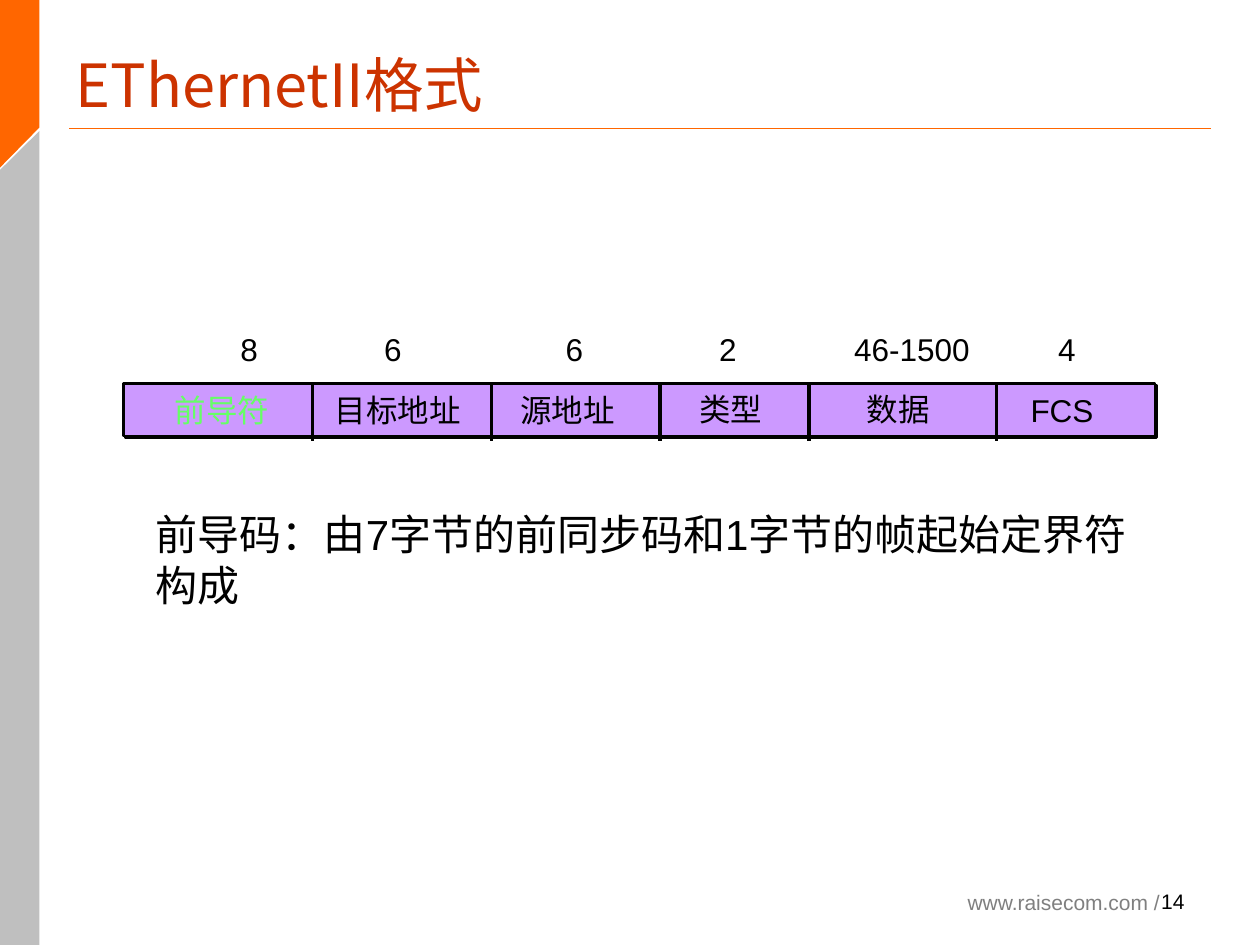
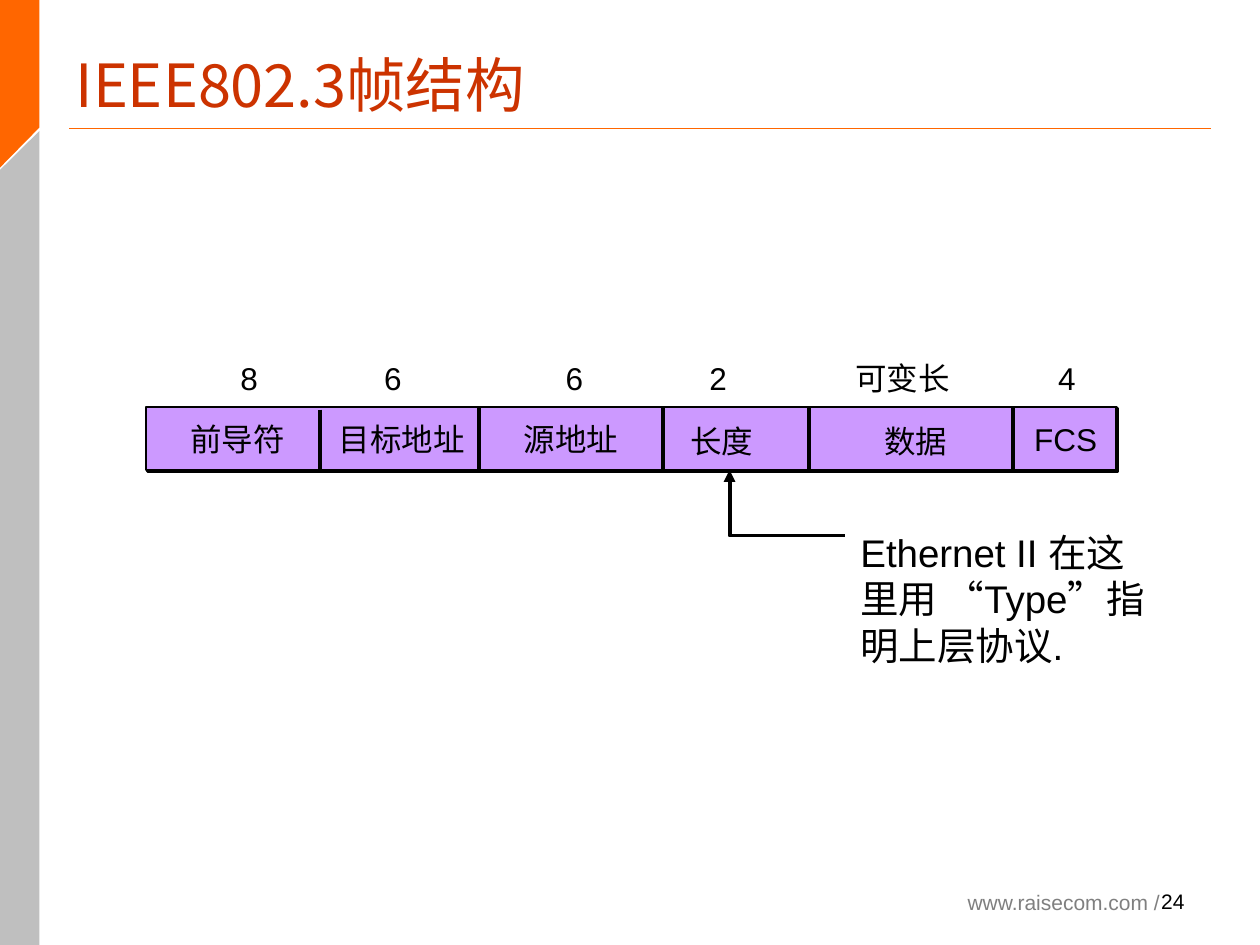
from pptx import Presentation
from pptx.dml.color import RGBColor
from pptx.enum import shapes, text
from pptx.oxml import parse_xml
from pptx.oxml.ns import nsdecls, qn
from pptx.util import Pt

# Style
ORANGE = RGBColor(0xFF, 0x66, 0x00)
GREY = RGBColor(0xBF, 0xBF, 0xBF)
FOOTER_GREY = RGBColor(0x7F, 0x7F, 0x7F)
TITLE_RED = RGBColor(0xCC, 0x33, 0x00)
PURPLE = RGBColor(0xCC, 0x99, 0xFF)
GREEN = RGBColor(0x66, 0xFF, 0x66)
BLACK = RGBColor(0, 0, 0)
TITLE_FONT, BODY_FONT = "Noto Sans CJK SC", "Arial"

HARD_SHADOW = (
    f'<a:effectLst {nsdecls("a")}><a:outerShdw dist="17780" dir="2700000" '
    'algn="ctr" rotWithShape="0"><a:srgbClr val="000000"/></a:outerShdw></a:effectLst>'
)
ARROW_START = f'<a:headEnd {nsdecls("a")} type="triangle"/>'

# Advance widths at 18 pt, used to size the unwrapped labels
GLYPHS = {"-": 6, "F": 11, "C": 13, "S": 12}


def label_width(label):
    return 14.4 + sum(GLYPHS.get(c, 18 if ord(c) > 255 else 10) for c in label)


class Deck:
    def __init__(self):
        self.prs = Presentation()
        self.prs.slide_width, self.prs.slide_height = Pt(720), Pt(540)
        self.s = None

    def slide(self, title, number):
        self.s = self.prs.slides.add_slide(self.prs.slide_layouts[5])
        # Side band and rule
        self.outline([(0, 97.2), (22.5, 74.9), (22.5, 540), (0, 540)], fill=GREY)
        self.outline([(0, 95.8), (22.5, 72.9), (22.5, 0), (0, 0)], fill=ORANGE)
        self.line(39.5, 73.4, 692, 73.4, ORANGE, 0.75)
        # Title
        sp = self.s.shapes.title
        sp.left, sp.top, sp.width, sp.height = Pt(36), Pt(27.4), Pt(648), Pt(40.3)
        self.fill_text(sp.text_frame, title, 34, TITLE_RED, TITLE_FONT)
        # Footer
        self.text("www.raisecom.com /", 545.8, 504.7, 146.2, 21.6, 12, FOOTER_GREY,
                  anchor=text.MSO_ANCHOR.TOP)
        self.text(str(number), 624.2, 500.4, 59.8, 28.8, 12,
                  align=text.PP_ALIGN.RIGHT)

    def fill_text(self, tf, words, size, color, font,
                  align=text.PP_ALIGN.LEFT, anchor=text.MSO_ANCHOR.MIDDLE):
        tf.auto_size = text.MSO_AUTO_SIZE.NONE
        tf.vertical_anchor = anchor
        p = tf.paragraphs[0]
        p.text, p.alignment = words, align
        p.font.size, p.font.name = Pt(size), font
        p.font.color.rgb = color

    def text(self, words, x, y, w, h, size, color=BLACK, wrap=True, grow=False, **layout):
        tf = self.s.shapes.add_textbox(Pt(x), Pt(y), Pt(w), Pt(h)).text_frame
        self.fill_text(tf, words, size, color, BODY_FONT, **layout)
        tf.word_wrap = wrap
        if grow:
            tf.auto_size = text.MSO_AUTO_SIZE.SHAPE_TO_FIT_TEXT

    def label(self, words, x, y, color=BLACK):
        self.text(words, x, y, label_width(words), 28.8, 18, color, wrap=False, grow=True)

    def line(self, x1, y1, x2, y2, color, width):
        c = self.s.shapes.add_connector(
            shapes.MSO_CONNECTOR.STRAIGHT, Pt(x1), Pt(y1), Pt(x2), Pt(y2))
        c.line.color.rgb, c.line.width = color, Pt(width)
        c._element.spPr.append(parse_xml(f'<a:effectLst {nsdecls("a")}/>'))

    def outline(self, points, fill=None):
        """A filled polygon, or an open line with an arrowhead at its start."""
        (x, y), *rest = [(Pt(px), Pt(py)) for px, py in points]
        builder = self.s.shapes.build_freeform(x, y)
        builder.add_line_segments(rest, close=fill is not None)
        sp = builder.convert_to_shape()
        sp.shadow.inherit = False
        if fill is not None:
            sp.fill.solid()
            sp.fill.fore_color.rgb = fill
            sp.line.fill.background()
        else:
            sp.fill.background()
            sp.line.color.rgb, sp.line.width = BLACK, Pt(2.25)
            sp.line._get_or_add_ln().append(parse_xml(ARROW_START))

    def bar(self, x, y, w, h):
        sp = self.s.shapes.add_shape(
            shapes.MSO_SHAPE.RECTANGLE, Pt(x), Pt(y), Pt(w), Pt(h))
        sp.fill.solid()
        sp.fill.fore_color.rgb = PURPLE
        sp.line.color.rgb, sp.line.width = BLACK, Pt(1.5)
        sp.shadow.inherit = False
        spPr = sp._element.spPr
        spPr.replace(spPr.find(qn("a:effectLst")), parse_xml(HARD_SHADOW))

    def frame(self, bar, fields, sizes_y, dividers, divider_h, divider_w):
        """A frame bar; each field is name, left, top, size, size left, colour."""
        self.bar(*bar)
        for name, x, y, size, size_x, color in fields:
            self.label(name, x, y, color)
            self.label(size, size_x, sizes_y)
        for x, y in dividers:
            self.line(x, y, x, y + divider_h, BLACK, divider_w)


def main():
    deck = Deck()

    # Ethernet II frame
    deck.slide("EThernetII格式", 14)
    deck.text("前导码：由7字节的前同步码和1字节的帧起始定界符构成",
              82, 287.3, 573, 65, 24, grow=True, anchor=text.MSO_ANCHOR.TOP)
    deck.frame(
        (70.5, 219, 589.5, 30.2),
        [("前导符", 92.9, 219.6, "8", 130.3, GREEN),
         ("目标地址", 184.3, 219.6, "6", 212.4, BLACK),
         ("源地址", 290.2, 219.6, "6", 316.1, BLACK),
         ("类型", 392.4, 219, "2", 403.9, BLACK),
         ("数据", 488.2, 219, "46-1500", 481, BLACK),
         ("FCS", 581.8, 219.6, "4", 597.6, BLACK)],
        185, [(x, 219) for x in (178.6, 280.8, 377.3, 462.2, 569.5)], 33, 2)

    # IEEE 802.3 frame
    deck.slide("IEEE802.3帧结构", 24)
    deck.frame(
        (83.5, 232.6, 554.4, 36),
        [("前导符", 101.5, 236.2, "8", 130.3, BLACK),
         ("目标地址", 186.5, 236.2, "6", 212.4, BLACK),
         ("源地址", 292.3, 236.2, "6", 316.1, BLACK),
         ("长度", 387.4, 237.6, "2", 398.2, BLACK),
         ("数据", 498.2, 237.6, "可变长", 481.7, BLACK),
         ("FCS", 583.9, 236.2, "4", 597.6, BLACK)],
        201.6,
        [(182.9, 234)] + [(x, 232.6) for x in (273.6, 378.7, 462.2, 578.9)], 36, 2.25)
    # Note on the length field
    deck.text("Ethernet II 在这里用 “Type”指明上层协议.",
              484.6, 298.8, 177.8, 86.4, 22, grow=True)
    deck.outline([(416.9, 268.6), (416.9, 306), (483.1, 306)])

    deck.prs.save("out.pptx")


if __name__ == "__main__":
    main()
